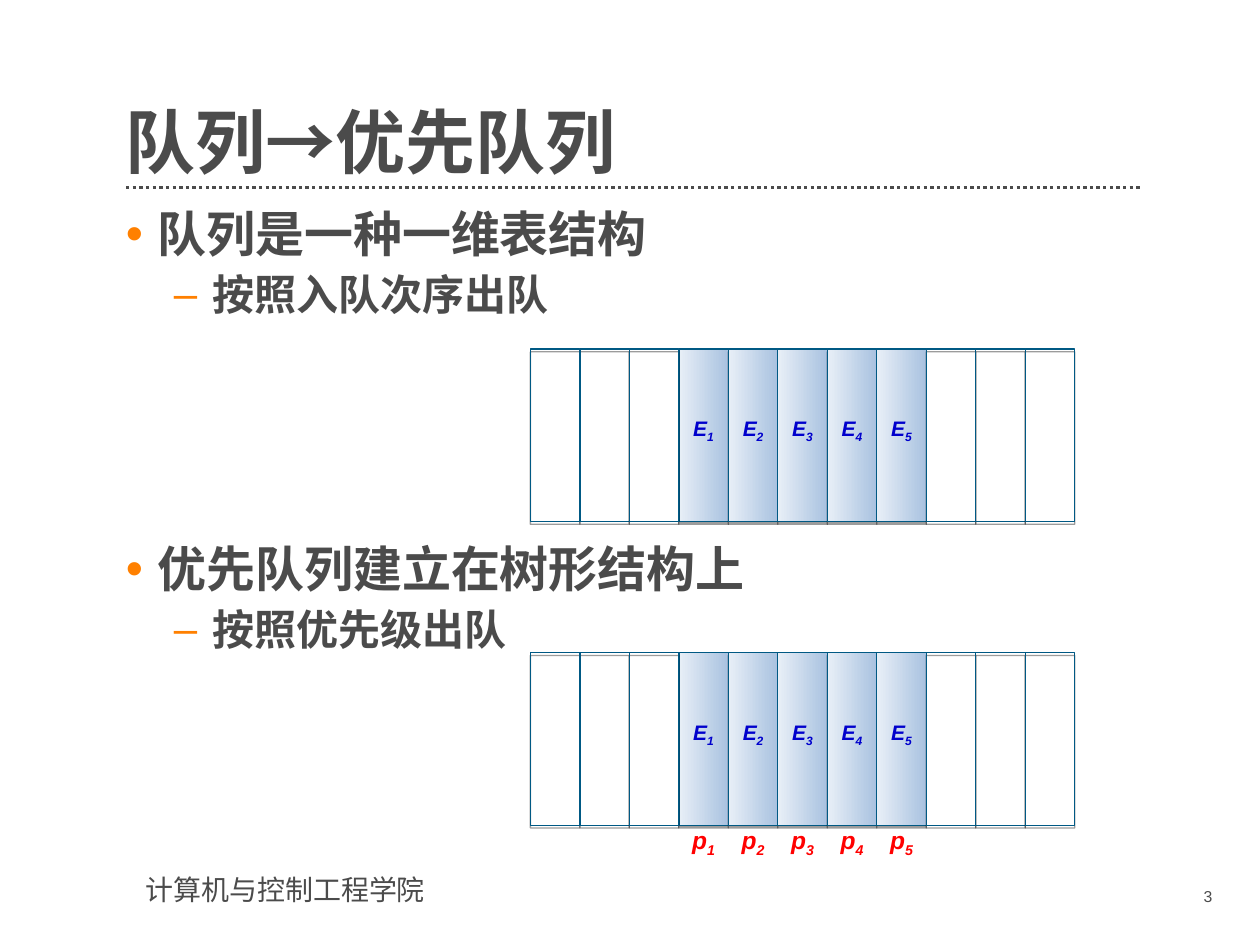
import pptx
import pptx.dml.color
import pptx.enum.dml
import pptx.enum.shapes
import pptx.enum.text
import pptx.oxml.ns
import pptx.util
from dataclasses import dataclass
from lxml import etree

# Content
TITLE = "队列→优先队列"
FOOTER = "计算机与控制工程学院"
PAGE_NUMBER = "3"
SECTIONS = [
    {"top": 1.67, "point": "队列是一种一维表结构", "detail": "按照入队次序出队",
     "queue_top": 2.77, "labels": ["E"]},
    {"top": 4.33, "point": "优先队列建立在树形结构上", "detail": "按照优先级出队",
     "queue_top": 5.18, "labels": ["E", "p"]},
]


@dataclass(frozen=True)
class Theme:
    latin: str = "Arial"
    cjk: str = "Noto Sans CJK SC"
    text: str = "4B4B4B"
    bullet: str = "FF8000"
    cell_line: str = "005984"
    cell_light: str = "E8EFF7"
    cell_dark: str = "A9C2E0"
    element: str = "0000CC"
    priority: str = "FF0000"
    title_size: int = 40
    point_size: int = 28
    detail_size: int = 24
    footer_size: int = 16
    priority_size: int = 14
    element_size: int = 12
    page_size: int = 9


THEME = Theme()

# Grid
MARGIN, CONTENT_WIDTH = 1, 8.06
QUEUE_LEFT, QUEUE_WIDTH, CELL_HEIGHT = 4.21, 4.32, 1.37
CELL_COUNT = 11
CELL_WIDTH = QUEUE_WIDTH / CELL_COUNT
FILLED = range(3, 8)
LABEL_STYLES = {  # letter: (offset from queue top, height, size, colour)
    "E": (0.48, 0.33, THEME.element_size, THEME.element),
    "p": (1.32, 0.37, THEME.priority_size, THEME.priority),
}
ALIGN = pptx.enum.text.PP_ALIGN
ANCHOR = pptx.enum.text.MSO_ANCHOR


def inches(*values):
    return [pptx.util.Inches(value) for value in values]


def rgb(value):
    return pptx.dml.color.RGBColor.from_string(value)


def add_element(parent, tag, **attributes):
    return etree.SubElement(parent, pptx.oxml.ns.qn(tag), attributes)


def style(paragraph, size, colour=THEME.text, name=THEME.latin, bold=None, italic=None):
    font = paragraph.font
    font.size, font.bold, font.italic = pptx.util.Pt(size), bold, italic
    font.color.rgb = rgb(colour)
    font.name = name
    add_element(font._element, "a:ea", typeface=THEME.cjk)


def add_text_box(slide, box, margins=(0.1, 0.05, 0.1, 0.05), anchor=ANCHOR.TOP):
    frame = slide.shapes.add_textbox(*inches(*box)).text_frame
    frame.word_wrap = True
    frame.vertical_anchor = anchor
    (frame.margin_left, frame.margin_top,
     frame.margin_right, frame.margin_bottom) = inches(*margins)
    return frame


def add_bullet(paragraph, character, indent, hanging):
    properties = paragraph._p.get_or_add_pPr()
    properties.set("marL", str(pptx.util.Inches(indent)))
    properties.set("indent", str(-pptx.util.Inches(hanging)))
    colour = add_element(properties, "a:buClr")
    add_element(colour, "a:srgbClr", val=THEME.bullet)
    add_element(properties, "a:buFont", typeface=THEME.latin)
    add_element(properties, "a:buChar", char=character)


def add_section_text(slide, section):
    frame = add_text_box(slide, (MARGIN, section["top"], CONTENT_WIDTH, 1.1), (0, 0, 0.2, 0))
    point, detail = frame.paragraphs[0], frame.add_paragraph()
    point.text, detail.text = section["point"], section["detail"]
    point.line_spacing = detail.line_spacing = 0.9
    detail.space_before = pptx.util.Pt(6)
    detail.level = 1
    add_bullet(point, "•", 0.25, 0.25)
    add_bullet(detail, "–", 0.69, 0.31)
    style(point, THEME.point_size, name=THEME.cjk, bold=True)
    style(detail, THEME.detail_size, name=THEME.cjk, bold=True)


def add_cell(slide, column, top):
    cell = slide.shapes.add_shape(
        pptx.enum.shapes.MSO_SHAPE.RECTANGLE,
        *inches(QUEUE_LEFT + column * CELL_WIDTH, top, CELL_WIDTH, CELL_HEIGHT))
    if column in FILLED:
        cell.fill.gradient()
        cell.fill.gradient_angle = 0
        for stop, colour in zip(cell.fill.gradient_stops, (THEME.cell_light, THEME.cell_dark)):
            stop.color.rgb = rgb(colour)
    else:
        cell.fill.background()
    cell.line.color.rgb = rgb(THEME.cell_line)
    cell.line.width = pptx.util.Pt(0.75)
    # Thin shadow straight below the cell
    cell.shadow.inherit = False
    effects = cell._element.spPr.find(pptx.oxml.ns.qn("a:effectLst"))
    shadow = add_element(effects, "a:outerShdw", dist=str(pptx.util.Pt(1.6)),
                         dir="5400000", rotWithShape="0")
    colour = add_element(shadow, "a:srgbClr", val="000000")
    add_element(colour, "a:alpha", val="38000")


def add_label(slide, letter, number, column, queue_top):
    offset, height, size, colour = LABEL_STYLES[letter]
    frame = add_text_box(slide, (QUEUE_LEFT + column * CELL_WIDTH, queue_top + offset,
                                 CELL_WIDTH, height))
    paragraph = frame.paragraphs[0]
    paragraph.alignment = ALIGN.CENTER
    paragraph.add_run().text = letter
    subscript = paragraph.add_run()
    subscript.text = str(number)
    subscript._r.get_or_add_rPr().set("baseline", "-25000")
    style(paragraph, size, colour, bold=True, italic=True)


def add_queue(slide, section):
    for column in sorted(range(CELL_COUNT), key=lambda column: column not in FILLED):
        add_cell(slide, column, section["queue_top"])
    for letter in section["labels"]:
        for number, column in enumerate(FILLED, start=1):
            add_label(slide, letter, number, column, section["queue_top"])


def main():
    presentation = pptx.Presentation()
    presentation.slide_width, presentation.slide_height = inches(10, 7.5)
    slide = presentation.slides.add_slide(presentation.slide_layouts[6])

    # Dotted rule under the title
    rule = slide.shapes.add_connector(
        pptx.enum.shapes.MSO_CONNECTOR.STRAIGHT,
        *inches(MARGIN, 1.49, MARGIN + CONTENT_WIDTH, 1.49))
    rule.line.color.rgb = rgb(THEME.text)
    rule.line.width = pptx.util.Pt(1.9)
    rule.line.dash_style = pptx.enum.dml.MSO_LINE.ROUND_DOT
    add_element(rule._element.spPr, "a:effectLst")

    # Footer, title and page number
    footer = add_text_box(slide, (1.06, 6.88, 2.76, 0.37)).paragraphs[0]
    footer.text = FOOTER
    style(footer, THEME.footer_size)

    title = add_text_box(slide, (MARGIN, 0.55, CONTENT_WIDTH, 0.91),
                         (0, 0, 0, 0), ANCHOR.BOTTOM).paragraphs[0]
    title.text = TITLE
    title.line_spacing = 0.9
    style(title, THEME.title_size, name=THEME.cjk, bold=True)

    page = add_text_box(slide, (8.73, 6.99, 0.99, 0.29)).paragraphs[0]
    page.text = PAGE_NUMBER
    page.alignment = ALIGN.RIGHT
    style(page, THEME.page_size)

    # Bullets and queue diagrams
    for section in SECTIONS:
        add_section_text(slide, section)
        add_queue(slide, section)

    presentation.save("out.pptx")


if __name__ == "__main__":
    main()
